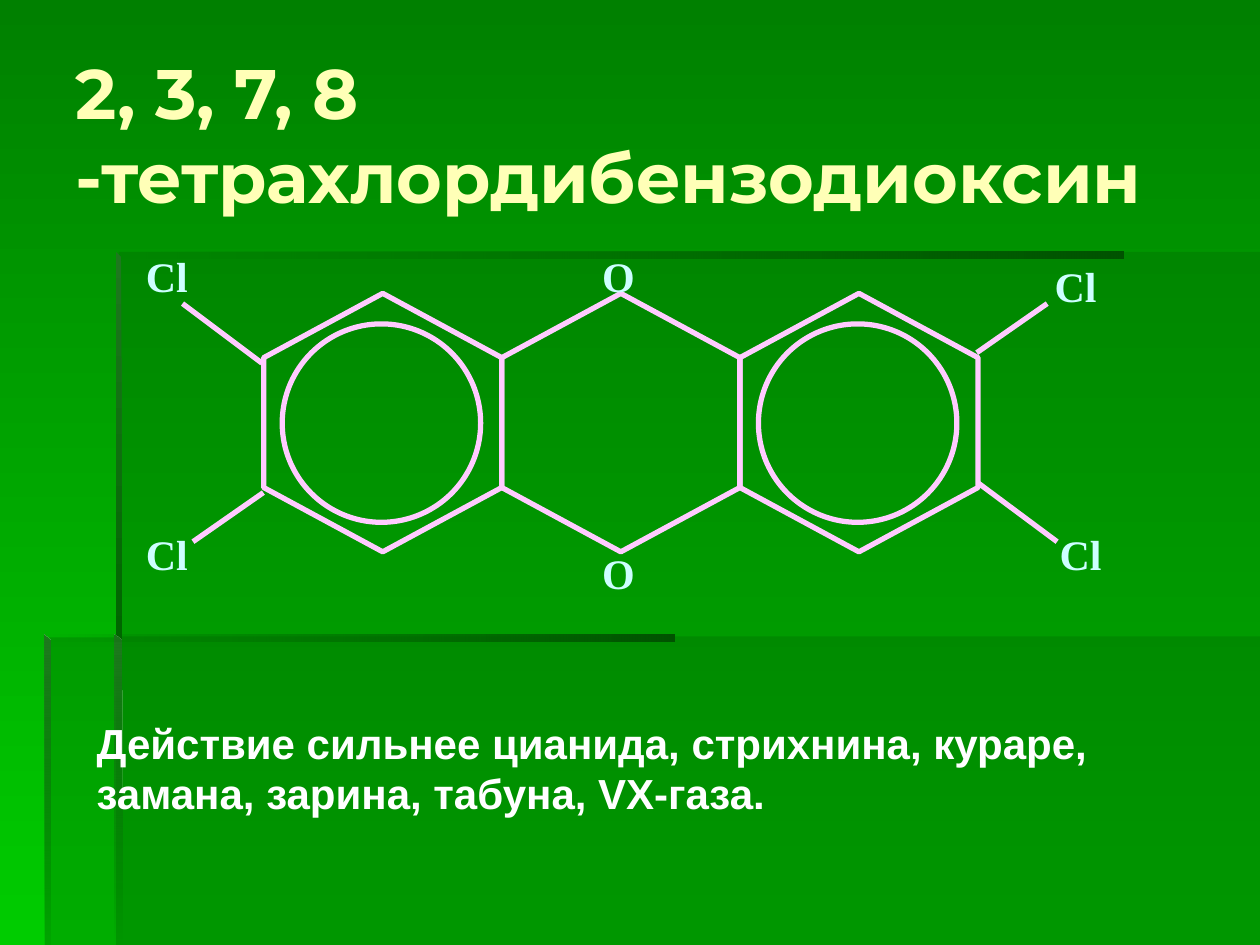
from lxml import etree
from pptx import Presentation
from pptx.dml.color import RGBColor
from pptx.enum.shapes import MSO_CONNECTOR, MSO_SHAPE
from pptx.enum.text import MSO_ANCHOR
from pptx.oxml.ns import qn
from pptx.util import Cm, Pt

HEXAGON, OVAL = MSO_SHAPE.HEXAGON, MSO_SHAPE.OVAL
STRAIGHT = MSO_CONNECTOR.STRAIGHT
TOP, MIDDLE = MSO_ANCHOR.TOP, MSO_ANCHOR.MIDDLE
W, H = 25.4, 19.05
DOWN, LEFTWARD = 270, 180  # gradient directions, counter-clockwise degrees


def rgb(value):
    return RGBColor.from_string(value)


def box(left, top, right, bottom):
    """Corner points of a rectangle."""
    return [(left, top), (left, bottom), (right, bottom), (right, top)]


def set_gradient(fill, start, end, angle):
    fill.gradient()
    fill.gradient_angle = angle
    for stop, color, position in zip(fill.gradient_stops, (start, end), (0, 1)):
        stop.color.rgb = rgb(color)
        stop.position = position


def set_alpha(sp, percent):
    """Set the opacity of the last colour in the shape's fill."""
    color = list(sp._element.spPr.iter(qn("a:srgbClr")))[-1]
    etree.SubElement(color, qn("a:alpha"), val=str(percent * 1000))


class SlideBuilder:
    PANEL = "006600"
    BOND, BOND_WIDTH = "FFCCFF", 3
    ATOM = "CCFFFF"

    def __init__(self, slide):
        self.s = slide

    def background(self, start, end):
        set_gradient(self.s.background.fill, start, end, DOWN)

    def outline(self, points):
        (x, y), *rest = [(Cm(px), Cm(py)) for px, py in points]
        builder = self.s.shapes.build_freeform(x, y)
        builder.add_line_segments(rest, close=True)
        sp = builder.convert_to_shape()
        sp.shadow.inherit = False
        sp.line.fill.background()
        return sp

    def panel(self, points):
        sp = self.outline(points)
        sp.fill.solid()
        sp.fill.fore_color.rgb = rgb(self.PANEL)
        set_alpha(sp, 30)

    def edge(self, points, color, angle, end_alpha=0):
        """Panel edge that fades into the panel colour."""
        sp = self.outline(points)
        set_gradient(sp.fill, color, self.PANEL, angle)
        set_alpha(sp, end_alpha)

    def style_bond(self, line):
        line.color.rgb = rgb(self.BOND)
        line.width = Pt(self.BOND_WIDTH)

    def ring(self, kind, left, top, width, height):
        sp = self.s.shapes.add_shape(kind, Cm(left), Cm(top), Cm(width), Cm(height))
        sp.shadow.inherit = False
        sp.fill.background()
        self.style_bond(sp.line)
        return sp

    def hexagon(self, left, top, width, height):
        sp = self.ring(HEXAGON, left, top, width, height)
        sp.adjustments[0] = 0.27
        sp.rotation = 90

    def bond(self, x1, y1, x2, y2):
        line = self.s.shapes.add_connector(STRAIGHT, Cm(x1), Cm(y1), Cm(x2), Cm(y2))
        etree.SubElement(line._element.spPr, qn("a:effectLst"))
        self.style_bond(line.line)

    def text(self, text, left, top, width, height, size, font, color, anchor=TOP):
        sp = self.s.shapes.add_textbox(Cm(left), Cm(top), Cm(width), Cm(height))
        tf = sp.text_frame
        tf.word_wrap = True
        tf.vertical_anchor = anchor
        r = tf.paragraphs[0].add_run()
        r.text = text
        r.font.size = Pt(size)
        r.font.name = font
        r.font.bold = True
        r.font.color.rgb = rgb(color)

    def atom(self, symbol, left, top, width):
        self.text(symbol, left, top, width, 1.27, 24, "Times New Roman", self.ATOM)


def draw_panels(b):
    dark, light = "005300", "1E781E"
    b.panel(box(2.34, 12.83, W, H))
    b.panel([(2.39, 12.85), (0.91, 12.85), (0.91, H), (W, H), (W, 5.08), (2.39, 5.08)])
    b.edge(box(2.34, 5.08, 22.65, 5.21), dark, LEFTWARD)
    b.edge([(2.34, 5.08), (2.34, 12.95), (2.46, 12.95), (2.44, 5.18)], light, DOWN, 100)
    b.edge([(2.31, H), (2.46, H), (2.44, 12.9), (2.31, 12.8)], light, DOWN)
    b.edge(box(0.89, 12.8, 13.59, 12.93), dark, LEFTWARD)
    b.edge([(0.89, 12.8), (0.89, H), (1.02, H), (1.02, 12.93)], light, DOWN, 10)


def draw_molecule(b):
    pitch = 4.8
    for i in range(3):
        b.hexagon(5.11 + i * pitch, 6.12, 5.21, pitch)
    for i in (0, 2):
        b.ring(OVAL, 5.69 + i * pitch, 6.53, 4, 4)
    for ends in (
        (5.28, 7.32, 3.68, 6.12),
        (21.31, 10.92, 19.71, 9.73),
        (21.11, 6.12, 19.69, 7.11),
        (5.31, 9.93, 3.89, 10.92),
    ):
        b.bond(*ends)
    for left, top in ((2.69, 10.52), (2.69, 4.93), (21.01, 5.13), (21.11, 10.52)):
        b.atom("Cl", left, top, 2.39)
    for top in (4.93, 10.92):
        b.atom("O", 11.89, top, 0.99)


def main():
    prs = Presentation()
    prs.slide_width, prs.slide_height = Cm(W), Cm(H)
    b = SlideBuilder(prs.slides.add_slide(prs.slide_layouts[6]))
    b.background("008000", "00CC00")
    draw_panels(b)
    b.text("2, 3, 7, 8 -тетрахлордибензодиоксин", 1.27, 0.69, 23.29, 3.99,
           40, "Montserrat", "FFFFB7", MIDDLE)
    draw_molecule(b)
    b.text("Действие сильнее цианида, стрихнина, кураре, замана, зарина, табуна, VX-газа.",
           1.7, 14.33, 22.2, 2.29, 24, "Arial", "FFFFFF")
    prs.save("out.pptx")


if __name__ == "__main__":
    main()
